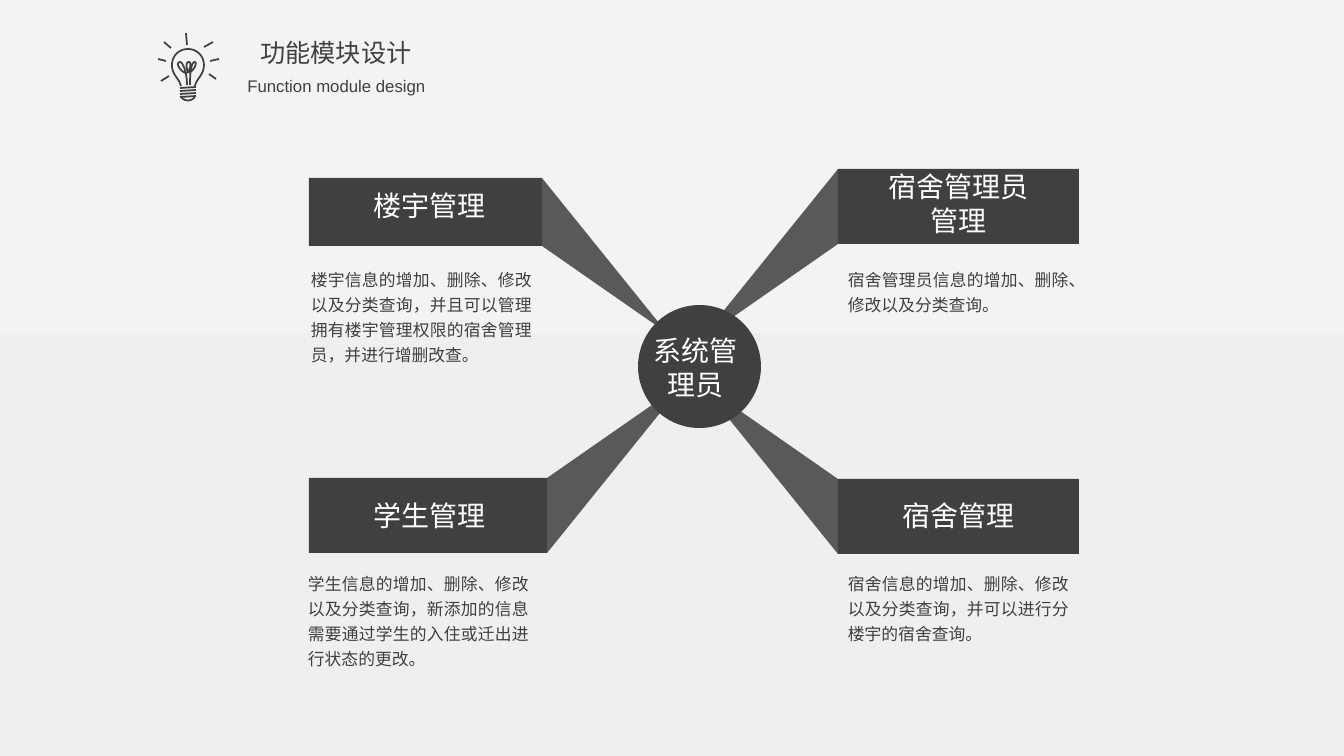
from dataclasses import dataclass

from lxml.etree import SubElement
from pptx import Presentation
from pptx.dml.color import RGBColor
from pptx.enum.shapes import MSO_CONNECTOR, MSO_SHAPE
from pptx.enum.text import MSO_ANCHOR, MSO_AUTO_SIZE, PP_ALIGN
from pptx.oxml.ns import qn
from pptx.util import Pt

SLIDE_W, SLIDE_H = 1344, 756
SCALE = 12192000 / SLIDE_W
DARK = RGBColor(0x40, 0x40, 0x40)
ARM = RGBColor(0x59, 0x59, 0x59)
WHITE = RGBColor(0xFF, 0xFF, 0xFF)
LOWER = RGBColor(0xEF, 0xEF, 0xEF)
UPPER = RGBColor(0xF3, 0xF3, 0xF3)
CJK = "Noto Sans CJK SC"


@dataclass
class Module:
    label: str
    detail: str
    block: tuple
    label_box: tuple
    detail_box: tuple
    tip: tuple


MODULES = [
    Module("学生管理",
           "学生信息的增加、删除、修改以及分类查询，新添加的信息需要通过学生的入住或迁出进行状态的更改。",
           (309, 478, 238, 75), (46, 16, 149, 44), (-11, 86, 241, 110), (685, 382)),
    Module("宿舍管理",
           "宿舍信息的增加、删除、修改以及分类查询，并可以进行分楼宇的宿舍查询。",
           (838, 479, 241, 75), (46, 15, 149, 44), (0, 85, 241, 85), (700, 383)),
    Module("楼宇管理",
           "楼宇信息的增加、删除、修改以及分类查询，并且可以管理拥有楼宇管理权限的宿舍管理员，并进行增删改查。",
           (309, 178, 233, 68), (46, 6, 149, 44), (-8, 82, 241, 110), (667, 333)),
    Module("宿舍管理员管理",
           "宿舍管理员信息的增加、删除、修改以及分类查询。",
           (838, 169, 241, 75), (30, -4, 181, 78), (0, 91, 241, 58), (700, 340)),
]

RAYS = [((29, 1), (30, 13)), ((56, 10), (47, 15)), ((62, 27), (53, 29)),
        ((59, 47), (52, 42)), ((7, 10), (14, 16)), ((1, 27), (9, 29)), ((4, 49), (12, 44))]
BULB_CURVES = [
    [(24, 54), (22, 46), (15, 43), (15, 33), (15, 24), (22, 17), (31, 17),
     (40, 17), (47, 24), (47, 33), (47, 43), (40, 46), (38, 54)],
    [(30, 53), (30, 41), (26, 30), (23, 30), (17, 31), (25, 41), (29, 41),
     (33, 41), (35, 30), (32, 30), (28, 30), (30, 38), (31, 40),
     (35, 42), (41, 31), (38, 30), (34, 30), (33, 41), (33, 53)],
    [(24, 64), (26, 70), (36, 70), (38, 64)],
]


def px(*lengths):
    return [round(length * SCALE) for length in lengths]


def shift(box, origin):
    return (box[0] + origin[0], box[1] + origin[1], *box[2:])


def fill_plain(shape, color):
    shape.shadow.inherit = False
    shape.fill.solid()
    shape.fill.fore_color.rgb = color
    shape.line.fill.background()


def add_text(slide, box, text, size, color, font, align=PP_ALIGN.CENTER, leading=None):
    frame = slide.shapes.add_textbox(*px(*box)).text_frame
    frame.text = text
    frame.word_wrap = True
    frame.auto_size = MSO_AUTO_SIZE.SHAPE_TO_FIT_TEXT
    paragraph = frame.paragraphs[0]
    paragraph.alignment = align
    if leading:
        paragraph.line_spacing = Pt(leading)
    run = paragraph.runs[0]
    run.font.size = Pt(size)
    run.font.color.rgb = color
    run.font.name = font
    SubElement(run.font._element, qn("a:ea")).set("typeface", font)
    return frame


def add_outline(slide, points, close):
    corners = [tuple(px(*point)) for point in points]
    builder = slide.shapes.build_freeform(*corners[0])
    builder.add_line_segments(corners[1:], close=close)
    outline = builder.convert_to_shape()
    outline.shadow.inherit = False
    return outline


def trace_curve(anchors, steps=10):
    points = [anchors[0]]
    for first in range(0, len(anchors) - 1, 3):
        controls = anchors[first:first + 4]
        for step in range(1, steps + 1):
            t = step / steps
            weights = ((1 - t) ** 3, 3 * t * (1 - t) ** 2, 3 * t * t * (1 - t), t ** 3)
            points.append(tuple(sum(w * c[axis] for w, c in zip(weights, controls))
                                for axis in (0, 1)))
    return points


def style_stroke(stroke):
    stroke.line.color.rgb = DARK
    stroke.line.width = Pt(1.25)


def draw_bulb(slide, box):
    for anchors in BULB_CURVES:
        curve = add_outline(slide, [shift(p, box) for p in trace_curve(anchors)], False)
        curve.fill.background()
        style_stroke(curve)
    threads = [((23, y + 1), (39, y)) for y in range(55, 66, 3)]
    for start, end in RAYS + threads:
        stroke = slide.shapes.add_connector(
            MSO_CONNECTOR.STRAIGHT, *px(*shift(start, box), *shift(end, box)))
        style_stroke(stroke)
        SubElement(stroke._element.spPr, qn("a:effectLst"))


def draw_header(slide, box):
    draw_bulb(slide, shift((97, 0), box))
    add_text(slide, shift((3, 1, 546, 40), box), "功能模块设计", 18, DARK, CJK, leading=21.5)
    subtitle = add_text(slide, shift((0, 39, 553, 30), box),
                        "Function module design", 12, DARK, "Arial")
    subtitle.vertical_anchor = MSO_ANCHOR.MIDDLE


def draw_module(slide, module):
    left, top, width, height = module.block
    inner = left + width if left < module.tip[0] - width else left
    arm = add_outline(slide, [(inner, top), module.tip, (inner, top + height)], True)
    fill_plain(arm, ARM)
    block = slide.shapes.add_shape(MSO_SHAPE.RECTANGLE, *px(*module.block))
    fill_plain(block, DARK)
    add_text(slide, shift(module.label_box, module.block), module.label, 20, WHITE, "Calibri")
    add_text(slide, shift(module.detail_box, module.block), module.detail, 12, DARK, CJK,
             PP_ALIGN.JUSTIFY, 17.85)


def draw_hub(slide, box):
    hub = slide.shapes.add_shape(MSO_SHAPE.OVAL, *px(*box))
    fill_plain(hub, DARK)
    add_text(slide, shift((-4, 24, 123, 78), box), "系统管理员", 20, WHITE, "Calibri")


def paint_background(slide):
    fill = slide.background.fill
    fill.gradient()
    fill.gradient_angle = 90
    for stop, position, color in zip(fill.gradient_stops, (0.12, 1), (LOWER, UPPER)):
        stop.position = position
        stop.color.rgb = color


def main():
    deck = Presentation()
    deck.slide_width, deck.slide_height = px(SLIDE_W, SLIDE_H)
    slide = deck.slides.add_slide(deck.slide_layouts[6])
    paint_background(slide)
    for module in MODULES:
        draw_module(slide, module)
    draw_hub(slide, (638, 305, 123, 123))
    draw_header(slide, (60, 32))
    deck.save("out.pptx")


if __name__ == "__main__":
    main()
